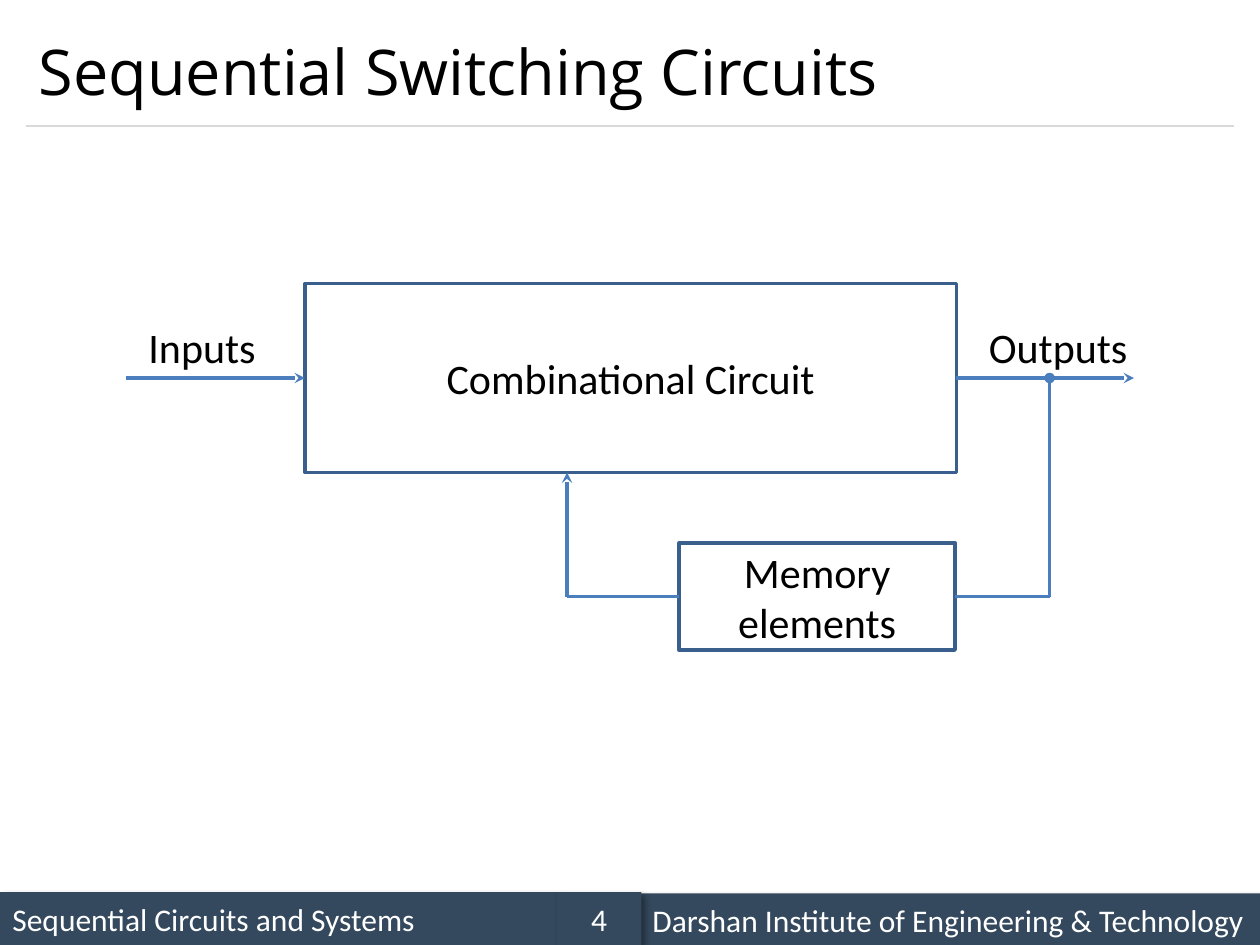
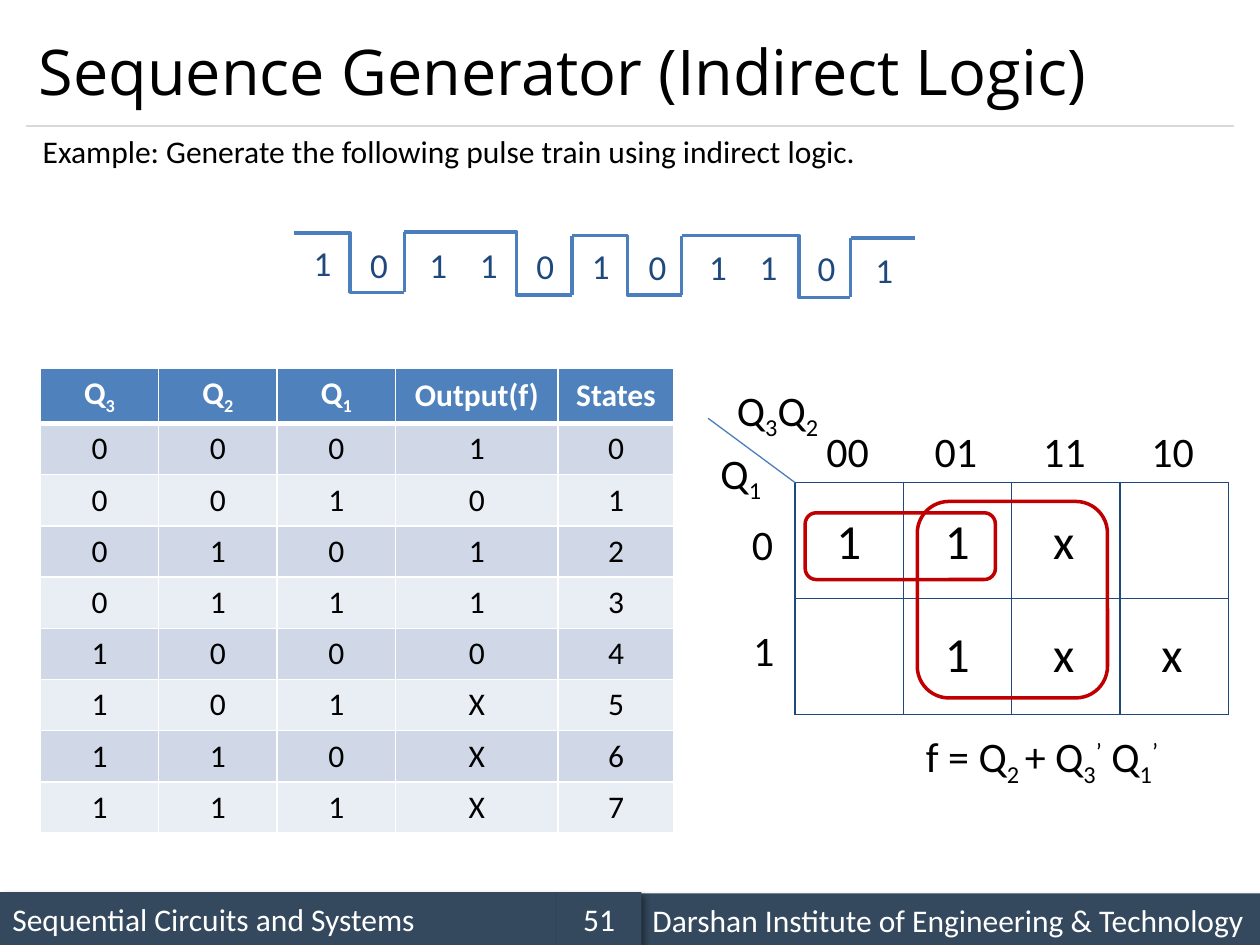
from lxml.etree import SubElement
from pptx import Presentation
from pptx.dml.color import RGBColor
from pptx.enum.shapes import MSO_CONNECTOR, MSO_SHAPE
from pptx.enum.text import MSO_ANCHOR, PP_ALIGN
from pptx.oxml.ns import qn
from pptx.util import Inches, Pt

WIDTH, HEIGHT = 10, 7.5
COLORS = {
    "band": "34495E", "rule": "D9D9D9", "text": "000000", "light": "FFFFFF",
    "outline": "3A5F8C", "wire": "4B7EBC", "bit": "1F497D", "group": "C00000",
    "header": "4F81BD", "odd row": "D0D8E8", "even row": "E9EDF4",
}
BODY_FONT, TITLE_FONT = "Calibri", "Open Sans"
SUB, SUPER = -25000, 30000

COURSE = "Sequential Circuits and Systems"
INSTITUTE = "Darshan Institute of Engineering & Technology"

BLOCK_TITLE = "Sequential Switching Circuits"
BLOCKS = {
    "Combinational Circuit": (2.42, 2.25, 5.17, 1.5),
    "Memory elements": (5.39, 4.31, 2.19, 0.85),
}
INPUT_X, OUTPUT_X = 1, 9
TAP_X, FEEDBACK_X = 8.33, 4.5
SIGNAL_LABELS = [("Inputs", (1.08, 2.5, 1.06, 0.5)), ("Outputs", (7.75, 2.5, 1.31, 0.5))]

GENERATOR_TITLE = "Sequence Generator (Indirect Logic)"
EXAMPLE = "Example: Generate the following pulse train using indirect logic."
PULSES = [
    (2.33, 2.78, 3.21, 1.85, 2.32),
    (3.21, 4.1, 4.54, 1.84, 2.34),
    (4.54, 4.98, 5.41, 1.87, 2.34),
    (5.41, 6.34, 6.75, 1.87, 2.36),
]
LAST_PULSE = (6.75, 7.26, 1.89)
BITS = [
    ("1", 2.39, 1.87), ("0", 2.84, 1.88), ("1", 3.31, 1.88), ("1", 3.71, 1.88),
    ("0", 4.16, 1.89), ("1", 4.6, 1.89), ("0", 5.05, 1.9), ("1", 5.53, 1.9),
    ("1", 5.93, 1.9), ("0", 6.39, 1.91), ("1", 6.85, 1.92),
]

STATE_HEADERS = [
    [("Q", 0), ("3", SUB)], [("Q", 0), ("2", SUB)], [("Q", 0), ("1", SUB)],
    "Output(f)", "States",
]
OUTPUTS = "10110XXX"
STATE_ROWS = [[*f"{state:03b}", output, str(state)] for state, output in enumerate(OUTPUTS)]
STATE_TABLE = (0.32, 2.92)
STATE_COLUMNS = [0.94, 0.94, 0.94, 1.29, 0.92]
STATE_ROW = 3.66 / 9

MAP_LEFT, MAP_TOP, MAP_COLUMN, MAP_ROW = 6.31, 3.83, 0.86, 0.92
MAP_COLUMNS = ["00", "01", "11", "10"]
MAP_ROWS = [("0", (5.87, 4.07, 0.37, 0.5)), ("1", (5.88, 4.91, 0.37, 0.5))]
MAP_VALUES = [["1", "1", "x", ""], ["", "1", "x", "x"]]
MAP_AXES = [
    ([("Q", 0), ("3", SUB), ("Q", 0), ("2", SUB)], (5.75, 3, 0.88, 0.5)),
    ([("Q", 0), ("1", SUB)], (5.62, 3.5, 0.54, 0.5)),
]
MAP_GROUPS = [(6.39, 4.07, 1.51, 0.53), (7.28, 3.98, 1.51, 1.56)]
RESULT = [
    ("f = Q", 0), ("2 ", SUB), ("+ Q", 0), ("3", SUB), ("’", SUPER),
    (" Q", 0), ("1", SUB), ("’", SUPER),
]


def color(name):
    return RGBColor.from_string(COLORS[name])


def inches(values):
    return [Inches(value) for value in values]


def write(frame, content, size, ink="text", font=BODY_FONT, align=PP_ALIGN.LEFT, bold=False):
    paragraph = frame.paragraphs[0]
    paragraph.alignment = align
    for text, baseline in [(content, 0)] if isinstance(content, str) else content:
        run = paragraph.add_run()
        run.text = text
        run.font.size, run.font.name, run.font.bold = Pt(size), font, bold
        run.font.color.rgb = color(ink)
        if baseline:
            run.font._element.set("baseline", str(baseline))


def add_text(slide, content, box, size, wrap=False, anchor=MSO_ANCHOR.TOP, **style):
    frame = slide.shapes.add_textbox(*inches(box)).text_frame
    frame.word_wrap = wrap
    frame.vertical_anchor = anchor
    write(frame, content, size, **style)


def add_outline(slide, kind, box, ink):
    shape = slide.shapes.add_shape(kind, *inches(box))
    shape.shadow.inherit = False
    shape.fill.background()
    shape.line.color.rgb = color(ink)
    shape.line.width = Pt(2)
    return shape


def add_line(slide, start, end, ink="wire", width=2, head=None, tail=None, bend=None):
    kind = MSO_CONNECTOR.STRAIGHT if bend is None else MSO_CONNECTOR.ELBOW
    connector = slide.shapes.add_connector(kind, *inches((*start, *end)))
    connector.line.color.rgb = color(ink)
    connector.line.width = Pt(width)
    properties = connector._element.spPr
    line = properties.find(qn("a:ln"))
    for tag, marker in (("a:headEnd", head), ("a:tailEnd", tail)):
        if marker:
            SubElement(line, qn(tag), type=marker)
    if bend is not None:
        adjustments = properties.find(qn("a:prstGeom")).find(qn("a:avLst"))
        SubElement(adjustments, qn("a:gd"), name="adj1", fmla=f"val {round(bend * 100000)}")
    SubElement(properties, qn("a:effectLst"))
    return connector


def add_band(slide, text, box, align=PP_ALIGN.LEFT):
    band = slide.shapes.add_shape(MSO_SHAPE.RECTANGLE, *inches(box))
    band.shadow.inherit = False
    band.fill.solid()
    band.fill.fore_color.rgb = color("band")
    band.line.fill.background()
    effects = band._element.spPr.find(qn("a:effectLst"))
    shadow = SubElement(effects, qn("a:outerShdw"), blurRad=str(Pt(4)), dist=str(Pt(3)),
                        dir="2700000", algn="tl", rotWithShape="0")
    shade = SubElement(shadow, qn("a:srgbClr"), val=COLORS["text"])
    SubElement(shade, qn("a:alpha"), val="40000")
    band.text_frame.vertical_anchor = MSO_ANCHOR.MIDDLE
    write(band.text_frame, text, 18, "light", align=align)


def add_slide(presentation, title, number):
    slide = presentation.slides.add_slide(presentation.slide_layouts[6])
    add_band(slide, COURSE, (0, 7.08, 4.42, 0.42))
    add_line(slide, (0.21, 1), (WIDTH - 0.21, 1), "rule", 0.75)
    add_band(slide, INSTITUTE, (5.08, 7.09, 4.92, 0.42))
    add_band(slide, str(number), (4.42, 7.08, 0.67, 0.42), PP_ALIGN.CENTER)
    add_text(slide, title, (0.21, 0.12, 9.58, 0.88), 36, True, MSO_ANCHOR.MIDDLE, font=TITLE_FONT)
    return slide


def set_borders(cell, ink, bottom=1):
    properties = cell._tc.get_or_add_tcPr()
    for index, side in enumerate("LRTB"):
        width = Pt(bottom if side == "B" else 1)
        border = SubElement(properties, qn(f"a:ln{side}"), w=str(width))
        fill = SubElement(border, qn("a:solidFill"))
        SubElement(fill, qn("a:srgbClr"), val=COLORS[ink])
        properties.insert(index, border)


def add_grid(slide, corner, columns, rows):
    size = (sum(columns), sum(rows))
    table = slide.shapes.add_table(len(rows), len(columns), *inches((*corner, *size))).table
    for column, width in zip(table.columns, columns):
        column.width = Inches(width)
    for row, height in zip(table.rows, rows):
        row.height = Inches(height)
    return table


def build_block_diagram(presentation):
    slide = add_slide(presentation, BLOCK_TITLE, 4)
    blocks = []
    for text, box in BLOCKS.items():
        block = add_outline(slide, MSO_SHAPE.RECTANGLE, box, "outline")
        block.text_frame.word_wrap = True
        block.text_frame.vertical_anchor = MSO_ANCHOR.MIDDLE
        write(block.text_frame, text, 24, align=PP_ALIGN.CENTER)
        blocks.append(block)
    circuit, memory = blocks
    (left, top, width, height), (memory_left, memory_top, memory_width, memory_height) = BLOCKS.values()
    signal_y = top + height / 2
    memory_y = memory_top + memory_height / 2
    right, memory_right = left + width, memory_left + memory_width

    add_line(slide, (INPUT_X, signal_y), (left, signal_y), tail="stealth").end_connect(circuit, 1)
    add_line(slide, (right, signal_y), (OUTPUT_X, signal_y), tail="stealth").begin_connect(circuit, 3)
    add_line(slide, (TAP_X, signal_y), (TAP_X, memory_y), head="oval")
    add_line(slide, (memory_right, memory_y), (TAP_X, memory_y)).begin_connect(memory, 3)
    add_line(slide, (FEEDBACK_X, memory_y), (FEEDBACK_X, top + height), tail="stealth")
    add_line(slide, (FEEDBACK_X, memory_y), (memory_left, memory_y)).end_connect(memory, 1)
    for text, box in SIGNAL_LABELS:
        add_text(slide, text, box, 24)


def draw_pulse_train(slide):
    next_highs = [pulse[3] for pulse in PULSES[1:]] + [LAST_PULSE[2]]
    for (start, fall, rise, high, low), next_high in zip(PULSES, next_highs):
        add_line(slide, (start, high), (rise, low), bend=(fall - start) / (rise - start))
        add_line(slide, (rise, low), (rise, next_high))
    start, end, high = LAST_PULSE
    add_line(slide, (start, high), (end, high))
    for bit, left, top in BITS:
        add_text(slide, bit, (left, top, 0.34, 0.44), 20, ink="bit")


def draw_state_table(slide):
    content = [STATE_HEADERS, *STATE_ROWS]
    table = add_grid(slide, STATE_TABLE, STATE_COLUMNS, [STATE_ROW] * len(content))
    for row, values in enumerate(content):
        header = row == 0
        fill = "header" if header else "odd row" if row % 2 else "even row"
        for column, value in enumerate(values):
            cell = table.cell(row, column)
            cell.fill.solid()
            cell.fill.fore_color.rgb = color(fill)
            cell.vertical_anchor = MSO_ANCHOR.MIDDLE
            set_borders(cell, "light", 3 if header else 1)
            write(cell.text_frame, value, 18, "light" if header else "text",
                  align=PP_ALIGN.CENTER, bold=header)


def draw_karnaugh_map(slide):
    table = add_grid(slide, (MAP_LEFT, MAP_TOP), [MAP_COLUMN] * 4, [MAP_ROW] * 2)
    for cell in table.iter_cells():
        cell.fill.background()
        set_borders(cell, "bit")
    add_line(slide, (MAP_LEFT, MAP_TOP), (5.62, 3.32), width=0.75)
    for text, box in MAP_AXES + MAP_ROWS:
        add_text(slide, text, box, 24)
    centers = [MAP_LEFT + MAP_COLUMN * (column + 0.5) for column in range(4)]
    for text, center in zip(MAP_COLUMNS, centers):
        add_text(slide, text, (center - 0.28, 3.33, 0.54, 0.5), 24)
    for row, values in enumerate(MAP_VALUES):
        for value, center in zip(values, centers):
            if value:
                add_text(slide, value, (center - 0.2, 4 + 0.9 * row, 0.4, 0.57), 28)
    for box in MAP_GROUPS:
        add_outline(slide, MSO_SHAPE.FLOWCHART_ALTERNATE_PROCESS, box, "group")
    add_text(slide, RESULT, (7.25, 5.75, 2.12, 0.5), 24)


def build_sequence_generator(presentation):
    slide = add_slide(presentation, GENERATOR_TITLE, 51)
    add_text(slide, EXAMPLE, (0.24, 1, 9.35, 0.4), 18, True)
    draw_pulse_train(slide)
    draw_state_table(slide)
    draw_karnaugh_map(slide)


def main():
    presentation = Presentation()
    presentation.slide_width, presentation.slide_height = Inches(WIDTH), Inches(HEIGHT)
    build_block_diagram(presentation)
    build_sequence_generator(presentation)
    presentation.save("out.pptx")


if __name__ == "__main__":
    main()
